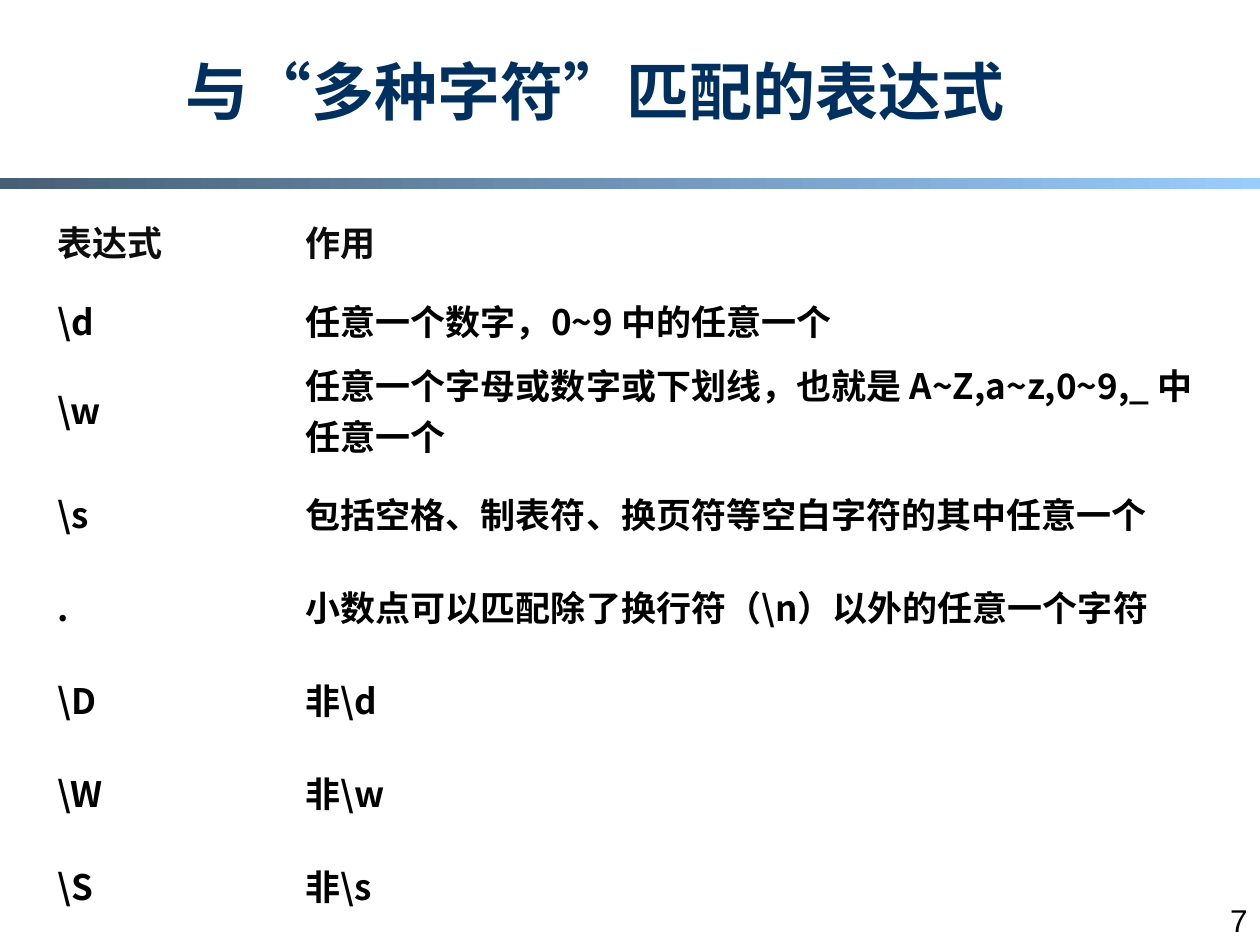
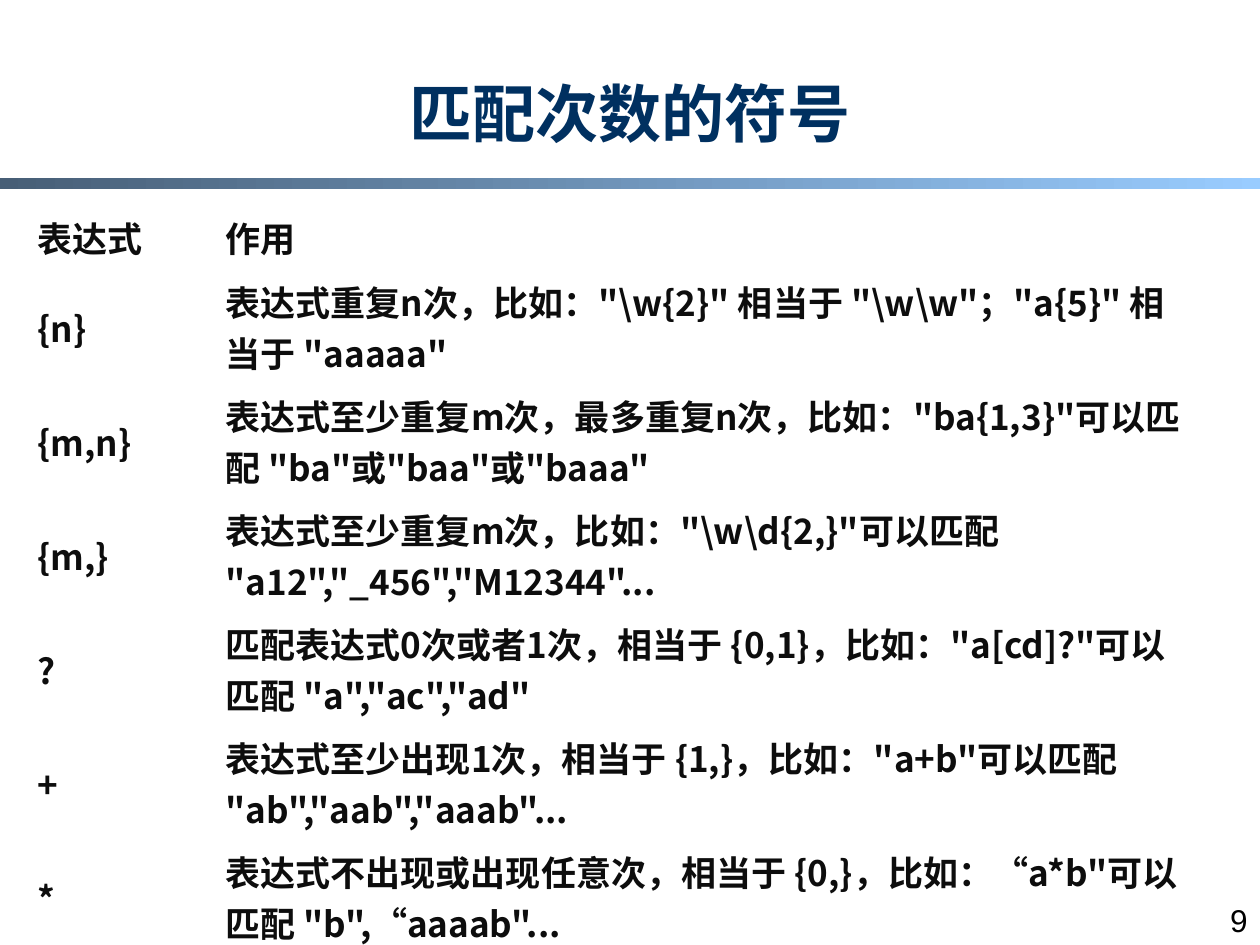
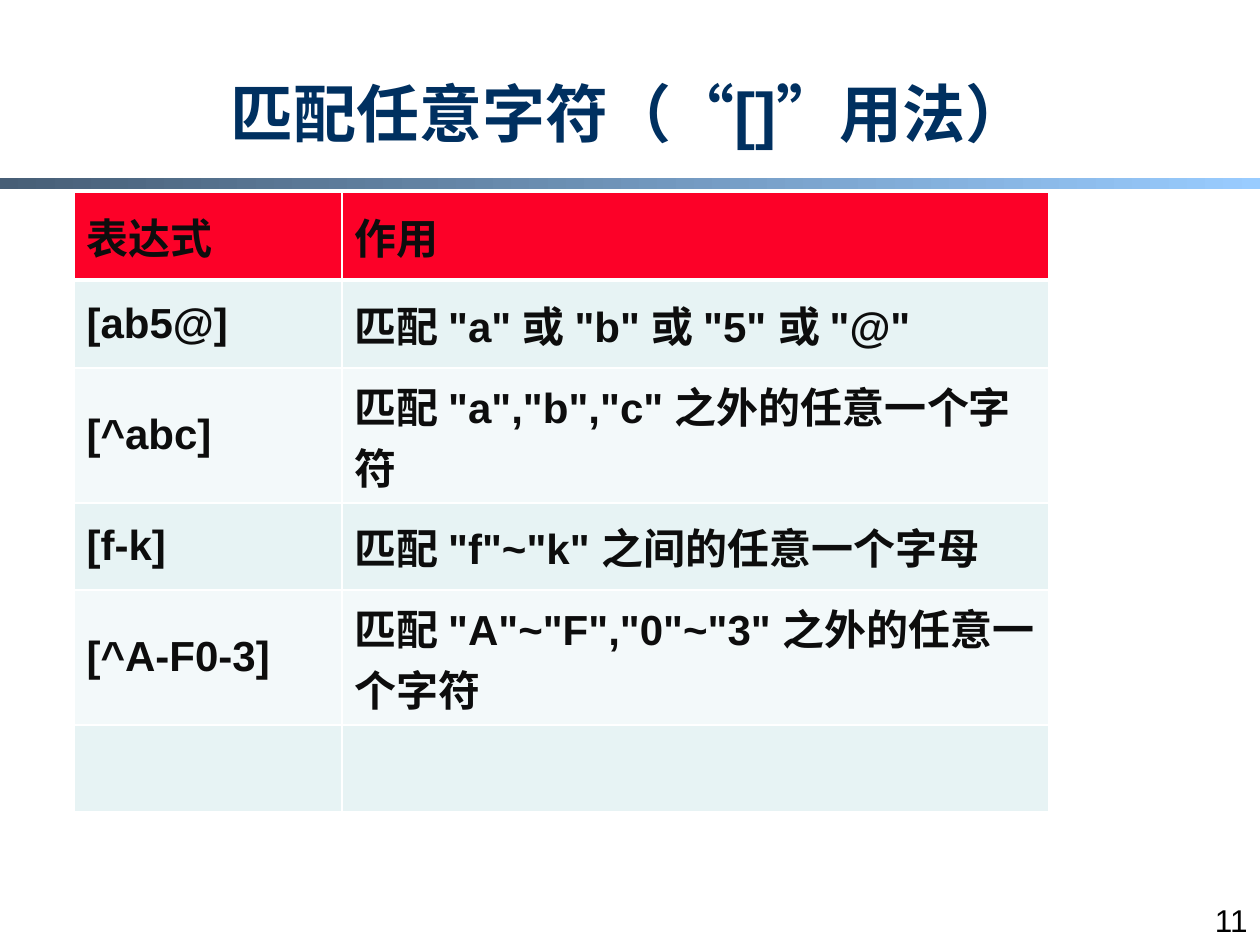
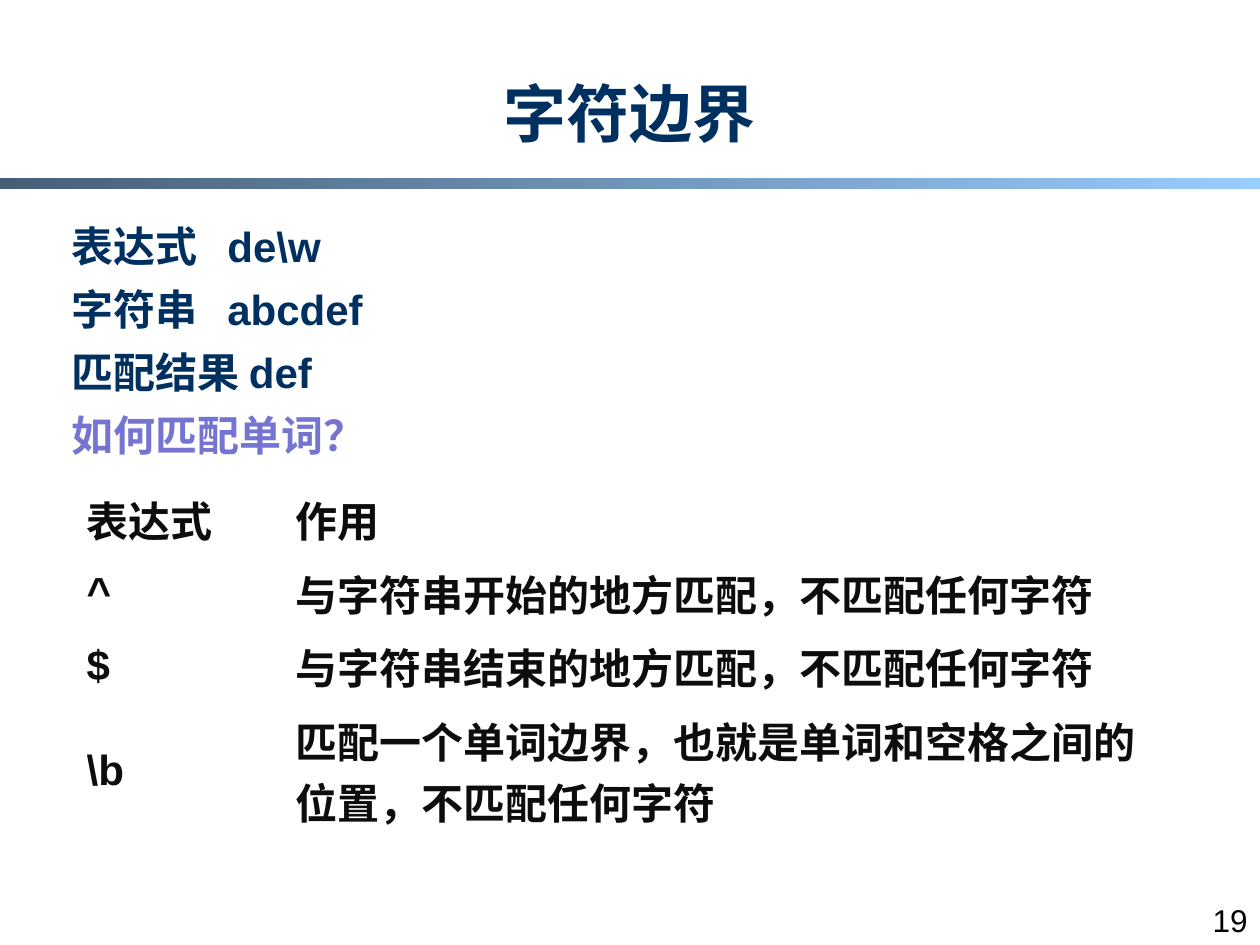
from lxml import etree
from pptx import Presentation
from pptx.dml.color import RGBColor
from pptx.enum.shapes import MSO_SHAPE as SHAPE
from pptx.enum.text import MSO_ANCHOR as ANCHOR, PP_ALIGN as ALIGN
from pptx.oxml.ns import qn
from pptx.util import Pt

PX = 914400 / 126
COLORS = {
    "navy": "003060", "violet": "7575D1", "ink": "0D0D0D", "black": "000000",
    "white": "FFFFFF", "red": "FC0128", "mint": "E7F3F4", "pale": "F3F9FA",
    "band_dark": "475E76", "band_light": "99CCFF",
}
LATIN, CJK = "Arial", "Noto Sans CJK SC"
USUAL_TITLE = (136, 41, 987, 116)


def px(*lengths):
    return [round(length * PX) for length in lengths]


def add_run(paragraph, text, size, color, font=LATIN, bold=True):
    run = paragraph.add_run()
    run.text = text
    run.font.size = Pt(size)
    run.font.bold = bold
    run.font.name = font
    run.font.color.rgb = RGBColor.from_string(COLORS[color])
    properties = run.font._element
    properties.set("lang", "zh-CN")
    east_asian = etree.Element(qn("a:ea"), typeface=CJK)
    properties.find(qn("a:latin")).addnext(east_asian)


# Content: each table starts with the same header row
HEADER = ("表达式", "作用")
pages = [
    dict(
        number="7", title="与“多种字符”匹配的表达式", title_box=(124, 25, 942, 110),
        corner=(45, 195), columns=(248, 922), heights=[93, 64, 115] + [93] * 5,
        size=20, font=CJK, body="black", fills=None,
        rows=[
            (r"\d", "任意一个数字，0~9 中的任意一个"),
            (r"\w", "任意一个字母或数字或下划线，也就是 A~Z,a~z,0~9,_ 中任意一个"),
            (r"\s", "包括空格、制表符、换页符等空白字符的其中任意一个"),
            (".", r"小数点可以匹配除了换行符（\n）以外的任意一个字符"),
            (r"\D", r"非\d"),
            (r"\W", r"非\w"),
            (r"\S", r"非\s"),
        ],
    ),
    dict(
        number="9", title="匹配次数的符号", title_box=USUAL_TITLE,
        corner=(25, 204), columns=(188, 988), heights=[66] + [114] * 6,
        size=20, font=CJK, body="ink", fills=None,
        rows=[
            ("{n}", r'表达式重复n次，比如："\w{2}" 相当于 "\w\w"；"a{5}" 相当于 "aaaaa"'),
            ("{m,n}", '表达式至少重复m次，最多重复n次，比如："ba{1,3}"可以匹配 "ba"或"baa"或"baaa"'),
            ("{m,}", r'表达式至少重复m次，比如："\w\d{2,}"可以匹配 "a12","_456","M12344"...'),
            ("?", '匹配表达式0次或者1次，相当于 {0,1}，比如："a[cd]?"可以匹配 "a","ac","ad"'),
            ("+", '表达式至少出现1次，相当于 {1,}，比如："a+b"可以匹配 "ab","aab","aaab"...'),
            ("*", '表达式不出现或出现任意次，相当于 {0,}，比如：“a*b"可以匹配 "b",“aaaab"...'),
        ],
    ),
    dict(
        number="11", title="匹配任意字符（“[]”用法）", title_box=USUAL_TITLE,
        corner=(74, 192), columns=(268, 707), heights=[88, 88, 135, 87, 135, 87],
        size=24, font=LATIN, body="ink", fills=("mint", "pale"),
        rows=[
            ("[ab5@]", '匹配 "a" 或 "b" 或 "5" 或 "@"'),
            ("[^abc]", '匹配 "a","b","c" 之外的任意一个字符'),
            ("[f-k]", '匹配 "f"~"k" 之间的任意一个字母'),
            ("[^A-F0-3]", '匹配 "A"~"F","0"~"3" 之外的任意一个字符'),
            ("", ""),
        ],
    ),
    dict(
        number="19", title="字符边界", title_box=USUAL_TITLE,
        corner=(74, 482), columns=(209, 902), heights=[74, 73, 74, 135],
        size=24, font=LATIN, body="ink", fills=None,
        rows=[
            ("^", "与字符串开始的地方匹配，不匹配任何字符"),
            ("$", "与字符串结束的地方匹配，不匹配任何字符"),
            (r"\b", "匹配一个单词边界，也就是单词和空格之间的位置，不匹配任何字符"),
        ],
    ),
]
example_lines = [
    ("表达式\tde\\w", "navy"),
    ("字符串\tabcdef", "navy"),
    ("匹配结果 def", "navy"),
    ("如何匹配单词？", "violet"),
]

prs = Presentation()
prs.slide_width, prs.slide_height = px(1260, 945)

for page in pages:
    slide = prs.slides.add_slide(prs.slide_layouts[6])

    # Page number
    number = slide.shapes.add_textbox(*px(1197, 895, 63, 50)).text_frame
    number.word_wrap = True
    number.paragraphs[0].alignment = ALIGN.RIGHT
    add_run(number.paragraphs[0], page["number"], 18, "black", bold=False)

    # Gradient band
    band = slide.shapes.add_shape(SHAPE.RECTANGLE, *px(0, 178, 1260, 11))
    band.shadow.inherit = False
    band.line.fill.background()
    band.fill.gradient()
    band.fill.gradient_angle = 0
    for stop, position, color in zip(band.fill.gradient_stops, (0, 1), ("band_dark", "band_light")):
        stop.position = position
        stop.color.rgb = RGBColor.from_string(COLORS[color])

    # Title
    title = slide.shapes.add_textbox(*px(*page["title_box"])).text_frame
    title.word_wrap = True
    title.vertical_anchor = ANCHOR.BOTTOM
    title.paragraphs[0].alignment = ALIGN.CENTER
    title.paragraphs[0].line_spacing = 0.9
    add_run(title.paragraphs[0], page["title"], 36, "navy")

    # Table of expressions
    rows = [HEADER] + page["rows"]
    width, height = sum(page["columns"]), sum(page["heights"])
    table = slide.shapes.add_table(
        len(rows), 2, *px(*page["corner"], width, height)).table
    table.first_row = table.horz_banding = False
    for column, column_width in zip(table.columns, px(*page["columns"])):
        column.width = column_width
    for row, row_height in zip(table.rows, px(*page["heights"])):
        row.height = row_height

    for i, texts in enumerate(rows):
        for j, text in enumerate(texts):
            cell = table.cell(i, j)
            cell.vertical_anchor = ANCHOR.MIDDLE
            if page["fills"]:
                fill = page["fills"][(i - 1) % 2] if i else "red"
                cell.fill.solid()
                cell.fill.fore_color.rgb = RGBColor.from_string(COLORS[fill])
            else:
                cell.fill.background()
            if text:
                add_run(cell.text_frame.paragraphs[0], text, page["size"],
                        page["body"] if i else "ink", page["font"])

            # White rules, thicker under the header
            widths = {"lnL": 1, "lnR": 1, "lnT": 3 if i == 1 else 1, "lnB": 1 if i else 3}
            cell_properties = cell._tc.get_or_add_tcPr()
            for k, (side, points) in enumerate(widths.items()):
                rule = etree.Element(qn(f"a:{side}"), w=str(Pt(points)))
                paint = etree.SubElement(rule, qn("a:solidFill"))
                etree.SubElement(paint, qn("a:srgbClr"), val=COLORS["white"])
                cell_properties.insert(k, rule)

# Worked example above the last table
example = slide.shapes.add_textbox(*px(59, 202, 1142, 250)).text_frame
example.word_wrap = True
for i, (line, color) in enumerate(example_lines):
    paragraph = example.add_paragraph() if i else example.paragraphs[0]
    paragraph.line_spacing = Pt(36)
    if "\t" in line:
        tabs = etree.SubElement(paragraph._p.get_or_add_pPr(), qn("a:tabLst"))
        etree.SubElement(tabs, qn("a:tab"), pos=str(px(156)[0]), algn="l")
    add_run(paragraph, line, 24, color)

prs.save("out.pptx")
